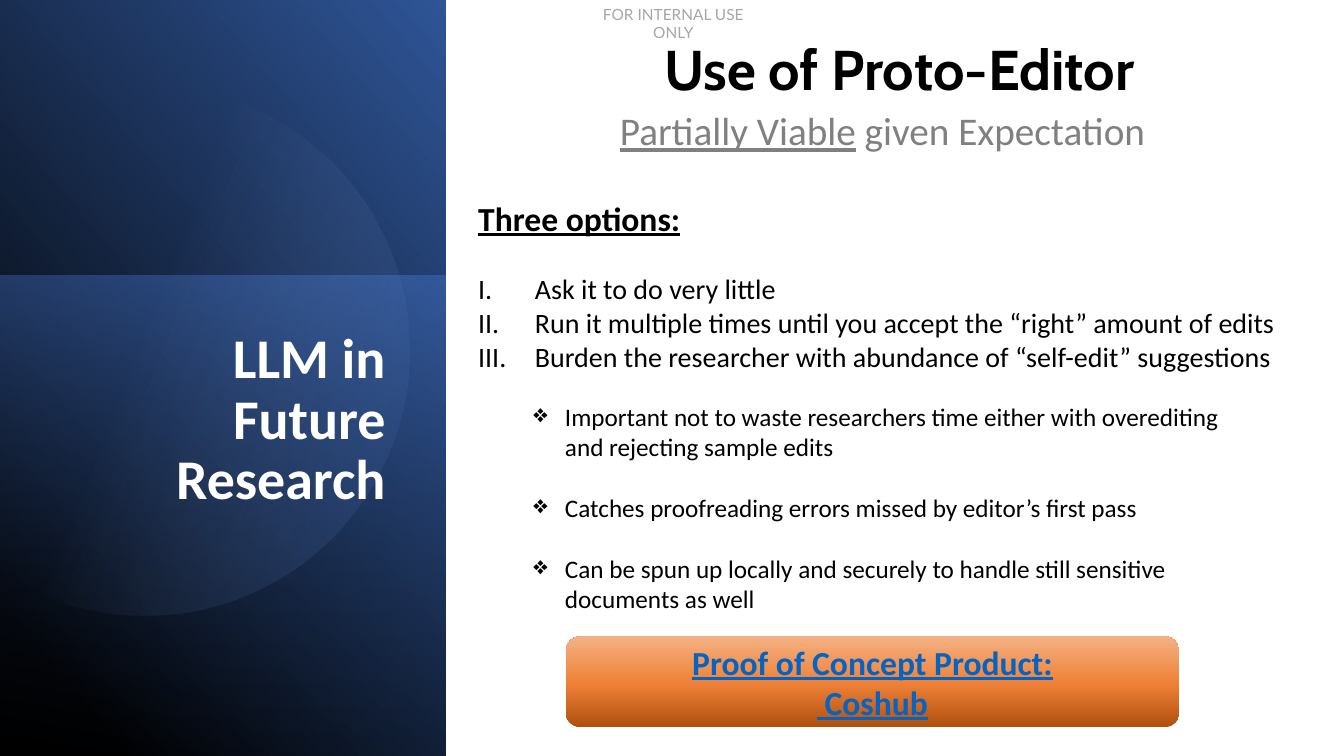
from math import acos, cos, sin

from lxml.etree import SubElement
from pptx import Presentation
from pptx.dml.color import RGBColor
from pptx.enum.shapes import MSO_SHAPE
from pptx.enum.text import MSO_ANCHOR, PP_ALIGN
from pptx.oxml.ns import qn
from pptx.util import Pt

WHITE = RGBColor(0xFF, 0xFF, 0xFF)
BLACK = RGBColor(0, 0, 0)
GRAY = RGBColor(0x80, 0x80, 0x80)
LIGHT_GRAY = RGBColor(0xA6, 0xA6, 0xA6)
LINK_BLUE = RGBColor(0x05, 0x63, 0xC1)
NAVY = RGBColor(0x20, 0x38, 0x64)
BLUE = RGBColor(0x2F, 0x55, 0x97)
MID_BLUE = RGBColor(0x44, 0x72, 0xC4)
PALE_BLUE = RGBColor(0x8F, 0xAA, 0xDC)
RUST = RGBColor(0xB0, 0x50, 0x0F)
ORANGE = RGBColor(0xEE, 0x81, 0x37)
PEACH = RGBColor(0xF4, 0xB1, 0x83)

OPTIONS = [
    "Ask it to do very little",
    "Run it multiple times until you accept the “right” amount of edits",
    "Burden the researcher with abundance of “self-edit” suggestions",
]
REMARKS = [
    "Important not to waste researchers time either with overediting and rejecting sample edits",
    "Catches proofreading errors missed by editor’s first pass",
    "Can be spun up locally and securely to handle still sensitive documents as well",
]


def paint_gradient(shape, stops, angle):
    """Fill a shape with (position, colour, opacity) stops, angle counter-clockwise."""
    shape.shadow.inherit = False
    shape.line.fill.background()
    shape.fill.gradient()
    shape.fill.gradient_angle = angle
    stop_list = shape.element.spPr.find(".//" + qn("a:gsLst"))
    for old_stop in list(stop_list):
        stop_list.remove(old_stop)
    for position, color, opacity in stops:
        stop = SubElement(stop_list, qn("a:gs"), pos=str(position * 1000))
        tint = SubElement(stop, qn("a:srgbClr"), val=str(color))
        if opacity < 100:
            SubElement(tint, qn("a:alpha"), val=str(opacity * 1000))


def add_text_area(slide, left, top, width, height, anchor=MSO_ANCHOR.TOP):
    """Add a wrapping text box and return its frame."""
    frame = slide.shapes.add_textbox(Pt(left), Pt(top), Pt(width), Pt(height)).text_frame
    frame.word_wrap = True
    frame.vertical_anchor = anchor
    return frame


def write(frame, text, size, color, font="Calibri", bold=False, underline=False,
          align=PP_ALIGN.LEFT, spacing=None, before=0, indent=0, bullet=None):
    """Write one formatted paragraph and return it."""
    paragraph = frame.paragraphs[0]
    if paragraph.runs:
        paragraph = frame.add_paragraph()
    paragraph.alignment = align
    if spacing:
        paragraph.line_spacing = spacing
    if before:
        paragraph.space_before = Pt(before)
    if bullet:
        properties = paragraph._p.get_or_add_pPr()
        properties.set("marL", str(Pt(indent)))
        properties.set("indent", str(-Pt(indent)))
        tag, attribute, value = bullet
        SubElement(properties, qn(tag)).set(attribute, value)
    add_run(paragraph, text, size, color, font, bold, underline)
    return paragraph


def add_run(paragraph, text, size, color, font="Calibri", bold=False, underline=False):
    """Append one formatted run."""
    run = paragraph.add_run()
    run.text = text
    run.font.size = Pt(size)
    run.font.color.rgb = color
    run.font.name = font
    run.font.bold = bold
    run.font.underline = underline


def add_side_panel(slide, left, top, width, height):
    """Draw the blue panel with its glow, disc and title."""
    shapes = slide.shapes
    backdrop = shapes.add_shape(MSO_SHAPE.RECTANGLE, Pt(left), Pt(top), Pt(width), Pt(height))
    paint_gradient(backdrop, [(11, BLACK, 100), (100, BLUE, 100)], 40)

    glow_top = 197
    glow = shapes.add_shape(MSO_SHAPE.RECTANGLE, Pt(left), Pt(top + glow_top),
                            Pt(width), Pt(height - glow_top))
    paint_gradient(glow, [(0, MID_BLUE, 50), (100, NAVY, 0)], 260)

    center_x, center_y, radius, steps = 103, 250, 189.5, 120
    reach = acos(-center_x / radius)
    angles = [reach * (2 * step / steps - 1) for step in range(steps + 1)]
    rim = [(Pt(left + center_x + radius * cos(a)), Pt(top + center_y + radius * sin(a)))
           for a in angles]
    outline = shapes.build_freeform(*rim[0])
    outline.add_line_segments(rim[1:], close=True)
    paint_gradient(outline.convert_to_shape(), [(39, PALE_BLUE, 0), (100, BLUE, 26)], 338.4)

    title = add_text_area(slide, left + 42, top + 232.5, 240.5, 278)
    write(title, "LLM in Future Research", 40, WHITE, bold=True,
          align=PP_ALIGN.RIGHT, spacing=0.9)


def add_heading(slide, left, top, width):
    """Place the marking, heading and subheading."""
    marking = add_text_area(slide, left + 89, top, 134, 21)
    write(marking, "FOR INTERNAL USE ONLY", 11, LIGHT_GRAY, font="Lato", align=PP_ALIGN.CENTER)
    heading = add_text_area(slide, left, top + 21, width, 61, MSO_ANCHOR.MIDDLE)
    write(heading, "Use of Proto-Editor", 40, BLACK, font="Cabin", bold=True,
          align=PP_ALIGN.CENTER, spacing=0.9)
    verdict = add_text_area(slide, left + 38, top + 76.5, 541, 47.5)
    line = write(verdict, "Partially Viable", 28, GRAY, underline=True,
                 align=PP_ALIGN.CENTER, spacing=0.9)
    add_run(line, " given Expectation ", 28, GRAY)


def add_options(slide, left, top, width):
    """Place the numbered options and the remarks below them."""
    options = add_text_area(slide, left, top, width, 133)
    write(options, "Three options:", 24, BLACK, bold=True, underline=True)
    for index, option in enumerate(OPTIONS):
        write(options, option, 20, BLACK, before=0 if index else 24.4, indent=40.5,
              bullet=("a:buAutoNum", "type", "romanUcPeriod"))
    remarks = add_text_area(slide, left + 39.5, top + 145.5, 518, 160)
    for index, remark in enumerate(REMARKS):
        write(remarks, remark, 18, BLACK, before=22 if index else 0, indent=22.5,
              bullet=("a:buChar", "char", "❖"))


def add_product_button(slide, left, top, width, height):
    """Draw the orange product button."""
    button = slide.shapes.add_shape(MSO_SHAPE.ROUNDED_RECTANGLE,
                                    Pt(left), Pt(top), Pt(width), Pt(height))
    paint_gradient(button, [(0, RUST, 100), (48, ORANGE, 100), (100, PEACH, 100)], 90)
    label = button.text_frame
    label.word_wrap = True
    label.vertical_anchor = MSO_ANCHOR.MIDDLE
    for text in ("Proof of Concept Product:", " Coshub"):
        write(label, text, 24, LINK_BLUE, bold=True, underline=True, align=PP_ALIGN.CENTER)


def main():
    """Build and save the slide."""
    deck = Presentation()
    deck.slide_width, deck.slide_height = Pt(960), Pt(540)
    slide = deck.slides.add_slide(deck.slide_layouts[6])
    add_side_panel(slide, 0, 0, 318.5, 540)
    add_heading(slide, 325, 0, 635)
    add_options(slide, 334.5, 137.5, 625.5)
    add_product_button(slide, 404, 454.5, 438.5, 65)
    deck.save("out.pptx")


if __name__ == "__main__":
    main()
